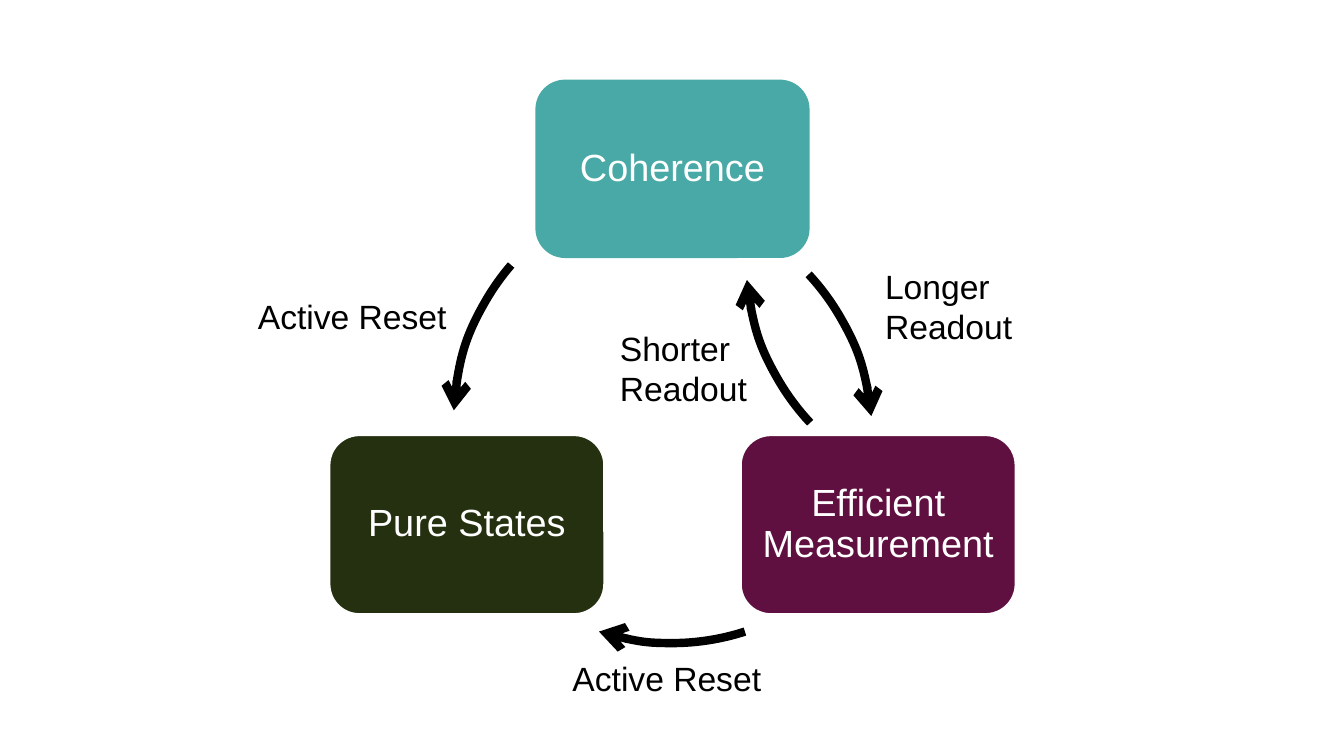
"""Build a slide showing the trade-offs between coherence, pure states and measurement."""
from dataclasses import dataclass

from lxml.etree import SubElement
from pptx import Presentation
from pptx.dml.color import RGBColor
from pptx.enum.shapes import MSO_SHAPE
from pptx.enum.text import MSO_ANCHOR, MSO_AUTO_SIZE, PP_ALIGN
from pptx.oxml.ns import qn
from pptx.util import Inches, Pt


@dataclass(frozen=True)
class Theme:
    font: str = "Arial"
    goal_size: Pt = Pt(27)
    effect_size: Pt = Pt(24)
    arrow_width: Pt = Pt(6)
    black: RGBColor = RGBColor(0x00, 0x00, 0x00)
    white: RGBColor = RGBColor(0xFF, 0xFF, 0xFF)
    olive: RGBColor = RGBColor(0x24, 0x30, 0x10)
    plum: RGBColor = RGBColor(0x5F, 0x0F, 0x40)
    teal: RGBColor = RGBColor(0x48, 0xA9, 0xA6)


def write(frame, text, size, color):
    frame.word_wrap = True
    paragraph = frame.paragraphs[0]
    paragraph.text = text
    paragraph.font.name = theme.font
    paragraph.font.size = size
    paragraph.font.color.rgb = color
    return paragraph


theme = Theme()
deck = Presentation()
deck.slide_width, deck.slide_height = Inches(13.33), Inches(7.5)
slide = deck.slides.add_slide(deck.slide_layouts[6])

goals = [
    ("Pure States", 3.27, 4.32, theme.olive, True),
    ("Efficient Measurement", 7.35, 4.32, theme.plum, True),
    ("Coherence", 5.31, 0.79, theme.teal, False),
]
for name, left, top, color, outlined in goals:
    goal = slide.shapes.add_shape(
        MSO_SHAPE.ROUNDED_RECTANGLE, Inches(left), Inches(top), Inches(2.72), Inches(1.77))
    goal.shadow.inherit = False
    goal.fill.solid()
    goal.fill.fore_color.rgb = color
    if outlined:
        goal.line.color.rgb = theme.white
        goal.line.width = Pt(1)
    else:
        goal.line.fill.background()
    frame = goal.text_frame
    frame.margin_left = frame.margin_right = Inches(0.1)
    frame.margin_top = frame.margin_bottom = Inches(0.1)
    frame.vertical_anchor = MSO_ANCHOR.MIDDLE
    label = write(frame, name, theme.goal_size, theme.white)
    label.alignment = PP_ALIGN.CENTER
    label.line_spacing = 0.9

arrows = [
    (3.94, 1.97, 317.1, 355.2, "a:tailEnd"),
    (4.31, 1.67, 72.1, 107.9, "a:tailEnd"),
    (4.5, 1.81, 182.3, 220.7, "a:headEnd"),
    (7.4, 0.23, 136.9, 175.3, "a:tailEnd"),
]
for left, top, start_degrees, end_degrees, arrow_end in arrows:
    arrow = slide.shapes.add_shape(
        MSO_SHAPE.ARC, Inches(left), Inches(top), Inches(4.71), Inches(4.71))
    arrow.shadow.inherit = False
    arrow.fill.background()
    arrow.line.color.rgb = theme.black
    arrow.line.width = theme.arrow_width
    arrow.adjustments[0] = start_degrees * 0.6
    arrow.adjustments[1] = end_degrees * 0.6
    SubElement(arrow.get_or_add_ln(), qn(arrow_end), type="arrow")

effects = [
    ("Longer Readout", 8.68, 2.59, 0.91),
    ("Shorter Readout", 6.05, 3.2, 0.91),
    ("Active Reset", 2.46, 2.89, 0.5),
    ("Active Reset", 5.58, 6.48, 0.5),
]
for name, left, top, height in effects:
    effect = slide.shapes.add_textbox(Inches(left), Inches(top), Inches(2.56), Inches(height))
    write(effect.text_frame, name, theme.effect_size, theme.black)
    effect.text_frame.auto_size = MSO_AUTO_SIZE.SHAPE_TO_FIT_TEXT

deck.save("out.pptx")
